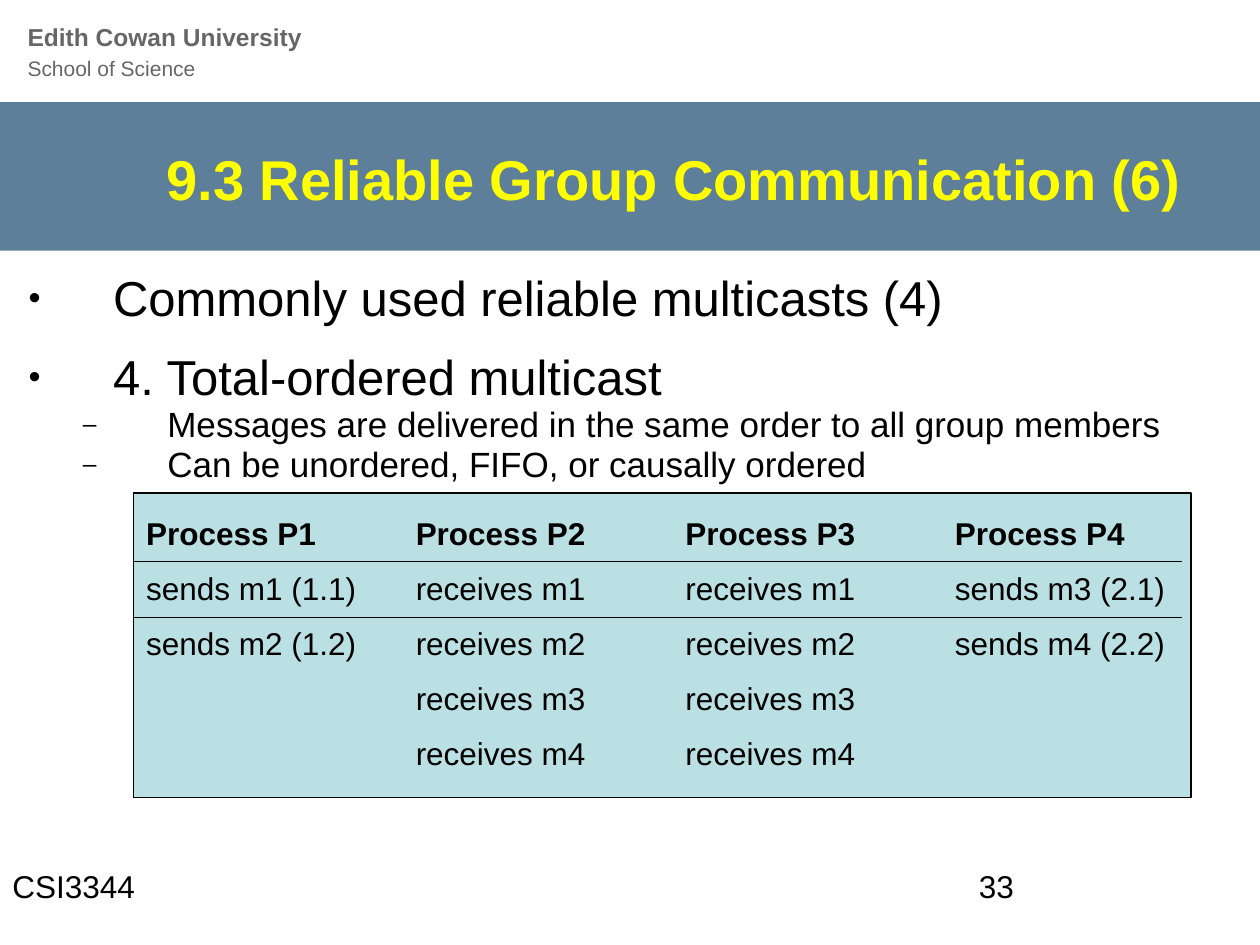
"""Build the slide on total-ordered multicast in reliable group communication."""
from lxml.etree import SubElement
from pptx import Presentation
from pptx.dml.color import RGBColor
from pptx.enum.shapes import MSO_SHAPE
from pptx.enum.text import MSO_ANCHOR, PP_ALIGN
from pptx.oxml.ns import qn
from pptx.util import Inches, Pt

RECTANGLE = MSO_SHAPE.RECTANGLE
TOP, MIDDLE = MSO_ANCHOR.TOP, MSO_ANCHOR.MIDDLE
LEFT, RIGHT = PP_ALIGN.LEFT, PP_ALIGN.RIGHT

UNIVERSITY, SCHOOL = "Edith Cowan University", "School of Science"
TITLE = "9.3 Reliable Group Communication (6)"
POINTS = [
    (0, "Commonly used reliable multicasts (4)"),
    (0, "4. Total-ordered multicast"),
    (1, "Messages are delivered in the same order to all group members"),
    (1, "Can be unordered, FIFO, or causally ordered"),
]
PROCESSES = [
    ("Process P1", "Process P2", "Process P3", "Process P4"),
    ("sends m1 (1.1)", "receives m1", "receives m1", "sends m3 (2.1)"),
    ("sends m2 (1.2)", "receives m2", "receives m2", "sends m4 (2.2)"),
    ("", "receives m3", "receives m3", ""),
    ("", "receives m4", "receives m4", ""),
]
UNIT_CODE, PAGE = "CSI3344", "33"

THEME = {
    "font": "Arial", "band": "5D7F9A", "panel": "BBE0E3", "ink": "000000",
    "heading": "FFFF00", "muted": "666666",
    "title": 32, "university": 14, "school": 12, "label": 18,
}
LEVELS = [
    {"size": 28, "bullet": "•", "margin": 0.67, "before": 14.4},
    {"size": 20, "bullet": "–", "margin": 1.1, "before": 1},
]
HANGING = 0.67
NO_STYLE = "{2D5ABB26-0587-4C30-8999-92F81FD0307C}"

COLUMNS, ROWS = 100, 75
COLUMN_SPANS = [21.4, 21.4, 21.4, 19]
ROW_SPAN = 4.38

deck = Presentation()
deck.slide_width, deck.slide_height = Inches(10), Inches(7.5)
slide = deck.slides.add_slide(deck.slide_layouts[6])


def across(columns):
    return round(deck.slide_width * columns / COLUMNS)


def down(rows):
    return round(deck.slide_height * rows / ROWS)


def place(left, top, width, height):
    return across(left), down(top), across(width), down(height)


def colour(key):
    return RGBColor.from_string(THEME[key])


def write(paragraph, text, size=THEME["label"], ink="ink", bold=False, align=LEFT,
          spacing=None, before=None):
    paragraph.alignment = align
    if spacing is not None:
        paragraph.line_spacing = spacing
    if before is not None:
        paragraph.space_before = Pt(before)
    run = paragraph.add_run()
    run.text = text
    run.font.name, run.font.size, run.font.bold = THEME["font"], Pt(size), bold
    run.font.color.rgb = colour(ink)


def add_frame(*spot, anchor=TOP):
    frame = slide.shapes.add_textbox(*place(*spot)).text_frame
    frame.word_wrap, frame.vertical_anchor = True, anchor
    return frame


def add_panel(*spot, fill, outline=None):
    panel = slide.shapes.add_shape(RECTANGLE, *place(*spot))
    panel.shadow.inherit = False
    panel.fill.solid()
    panel.fill.fore_color.rgb = colour(fill)
    if outline:
        panel.line.color.rgb, panel.line.width = colour(outline), Pt(1)
    else:
        panel.line.fill.background()


def add_bullet(paragraph, bullet, margin):
    properties = paragraph._p.get_or_add_pPr()
    properties.set("marL", str(Inches(margin)))
    properties.set("indent", str(-Inches(HANGING)))
    tint = SubElement(properties, qn("a:buClr"))
    SubElement(tint, qn("a:srgbClr"), val=THEME["ink"])
    SubElement(properties, qn("a:buSzPct"), val="70000")
    SubElement(properties, qn("a:buFont"), typeface=THEME["font"])
    SubElement(properties, qn("a:buChar"), char=bullet)


def add_border(cell, side):
    border = SubElement(cell._tc.get_or_add_tcPr(), qn(side), w=str(Pt(0.45)))
    fill = SubElement(border, qn("a:solidFill"))
    SubElement(fill, qn("a:srgbClr"), val=THEME["ink"])


def add_points():
    frame = add_frame(1.3, 21.3, 96, 23.3)
    for index, (depth, text) in enumerate(POINTS):
        level = LEVELS[depth]
        paragraph = frame.add_paragraph() if index else frame.paragraphs[0]
        add_bullet(paragraph, level["bullet"], level["margin"])
        write(paragraph, text, size=level["size"], spacing=0.9,
              before=level["before"] if index else None)


def add_processes():
    spot = place(10.6, 40.2, sum(COLUMN_SPANS), ROW_SPAN * len(PROCESSES))
    table = slide.shapes.add_table(len(PROCESSES), len(COLUMN_SPANS), *spot).table
    table.first_row = table.horz_banding = False
    table._tbl.tblPr.find(qn("a:tableStyleId")).text = NO_STYLE
    for column, span in zip(table.columns, COLUMN_SPANS):
        column.width = across(span)
    for row, (line, entries) in enumerate(zip(table.rows, PROCESSES)):
        line.height = down(ROW_SPAN)
        for cell, entry in zip(line.cells, entries):
            if row < 2:
                add_border(cell, "a:lnT" if row else "a:lnB")
            cell.fill.background()
            cell.vertical_anchor = MIDDLE
            if entry:
                write(cell.text_frame.paragraphs[0], entry, bold=row == 0)


add_panel(0, 8.1, 100, 11.8, fill="band")
header = add_frame(1.2, 1.3, 58.9, 5.7).paragraphs[0]
write(header, UNIVERSITY, size=THEME["university"], ink="muted", bold=True, spacing=Pt(16.7))
header.add_line_break()
write(header, SCHOOL, size=THEME["school"], ink="muted")
add_panel(10.6, 39.1, 83.9, 24.2, fill="panel", outline="ink")
write(add_frame(4.8, 10.6, 90, 7.1, anchor=MIDDLE).paragraphs[0], TITLE,
      size=THEME["title"], ink="heading", bold=True, align=RIGHT)
add_points()
for left, text in ((0, UNIT_CODE), (76.7, PAGE)):
    write(add_frame(left, 68.3, 23.3, 5).paragraphs[0], text)
add_processes()
deck.save("out.pptx")
